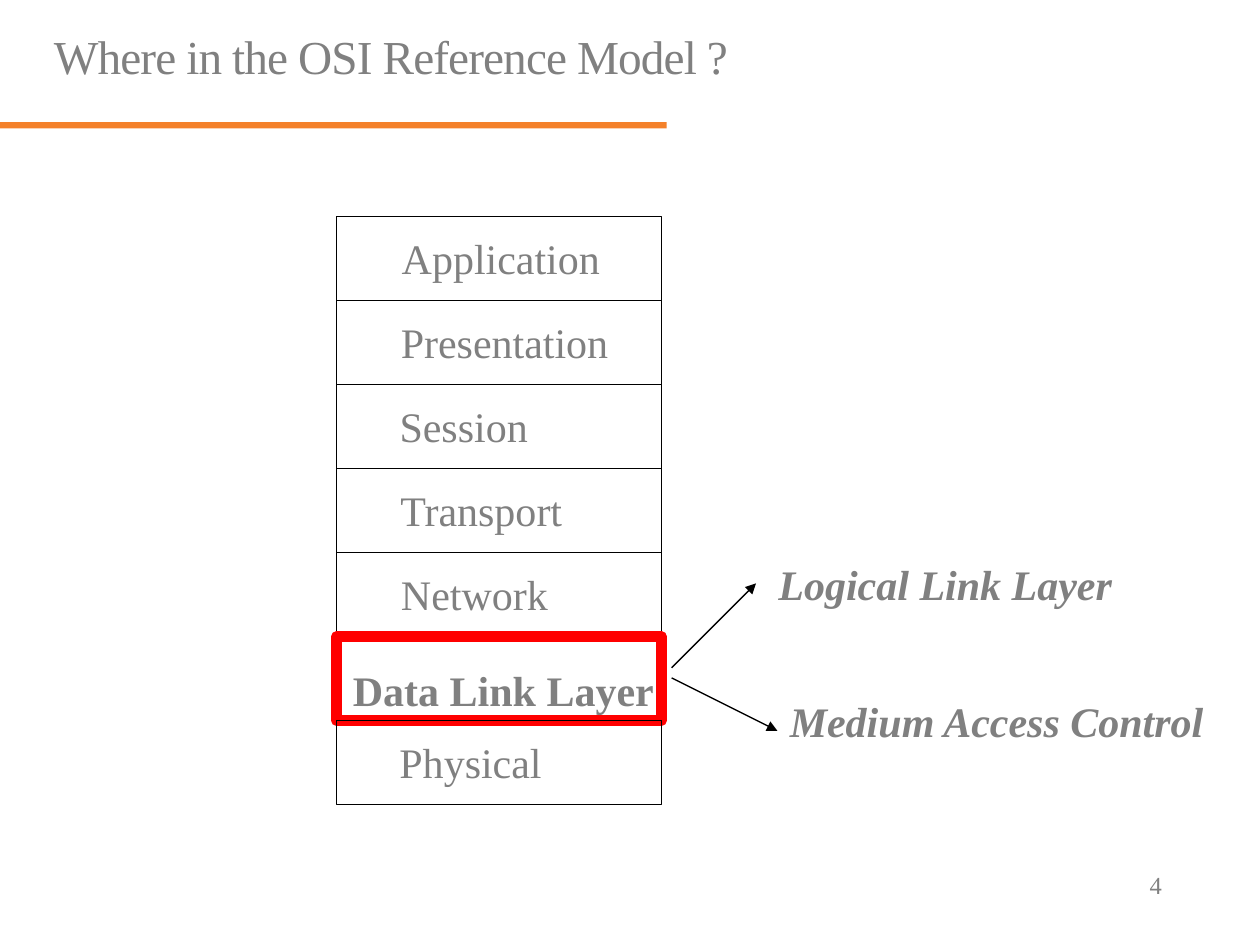
from lxml import etree
from pptx import Presentation
from pptx.dml.color import RGBColor
from pptx.enum.shapes import MSO_CONNECTOR as Connector, MSO_SHAPE as Shape
from pptx.enum.text import MSO_ANCHOR as Anchor, MSO_AUTO_SIZE as AutoSize, PP_ALIGN as Align
from pptx.oxml.ns import qn
from pptx.util import Inches, Pt

COLORS = {"text": "808080", "accent": "F4812A", "line": "000000", "highlight": "FF0000"}
FONT = "Times New Roman"

TITLE = "Where in the OSI Reference Model ?"
PAGE_NUMBER = "4"
# name, label width
LAYERS = [
    ("Application", 1.81),
    ("Presentation", 1.87),
    ("Session", 1.22),
    ("Transport", 1.5),
    ("Network", 1.39),
    ("Data Link Layer", 2.61),
    ("Physical", 1.33),
]
HIGHLIGHTED = "Data Link Layer"
# name, label box, arrow start, arrow end
SUBLAYERS = [
    ("Logical Link Layer", (6.08, 4.38, 2.9, 0.51), (5.33, 5.3), (6, 4.63)),
    ("Medium Access Control", (6.17, 5.47, 3.56, 0.5), (5.33, 5.38), (6.17, 5.8)),
]
STACK_LEFT, STACK_TOP = 2.67, 1.72
LAYER_WIDTH, LAYER_HEIGHT = 2.58, 2 / 3


def color(name):
    return RGBColor.from_string(COLORS[name])


def inches(values):
    return [Inches(value) for value in values]


def add_text(page, text, place, size=24, align=Align.LEFT, wrap=False, **styles):
    box = page.shapes.add_textbox(*inches(place))
    frame = box.text_frame
    frame.word_wrap = wrap
    frame.auto_size = AutoSize.NONE if wrap else AutoSize.SHAPE_TO_FIT_TEXT
    frame.vertical_anchor = Anchor.TOP
    para = frame.paragraphs[0]
    para.alignment = align
    span = para.add_run()
    span.text = text
    for key, value in {"name": FONT, "size": Pt(size), **styles}.items():
        setattr(span.font, key, value)
    span.font.color.rgb = color("text")
    return para


def add_rectangle(page, place, fill=None, line=None, weight=0.75):
    shape = page.shapes.add_shape(Shape.RECTANGLE, *inches(place))
    shape.shadow.inherit = False
    if fill:
        shape.fill.solid()
        shape.fill.fore_color.rgb = color(fill)
    else:
        shape.fill.background()
    if line:
        shape.line.color.rgb = color(line)
        shape.line.width = Pt(weight)
    else:
        shape.line.fill.background()


def add_arrow(page, start, end):
    arrow = page.shapes.add_connector(Connector.STRAIGHT, *inches(start + end))
    arrow.line.color.rgb = color("line")
    arrow.line.width = Pt(0.75)
    etree.SubElement(arrow.line._get_or_add_ln(), qn("a:tailEnd"), type="triangle")
    etree.SubElement(arrow._element.spPr, qn("a:effectLst"))


def add_layers(page):
    for row, (name, label_width) in enumerate(LAYERS):
        top = STACK_TOP + row * LAYER_HEIGHT
        chosen = name == HIGHLIGHTED
        add_rectangle(
            page,
            (STACK_LEFT, top, LAYER_WIDTH, LAYER_HEIGHT),
            line="highlight" if chosen else "line",
            weight=6 if chosen else 0.75,
        )
        indent, drop = (0.02, 0.17) if chosen else (0.4, 0.08)
        place = (STACK_LEFT + indent, top + drop, label_width, 0.5)
        add_text(page, name, place, align=Align.CENTER, bold=chosen)


def main():
    deck = Presentation()
    deck.slide_width, deck.slide_height = Inches(10), Inches(7.5)
    page = deck.slides.add_slide(deck.slide_layouts[6])

    add_rectangle(page, (0, 0.97, 5.29, 0.05), fill="accent")
    add_text(page, PAGE_NUMBER, (7.24, 6.86, 2.08, 0.5), size=14, align=Align.RIGHT, wrap=True)
    title = add_text(page, TITLE, (0.33, 0.22, 9.67, 1.25), size=27, wrap=True)
    title.line_spacing = 0.9
    title.runs[0].font._element.set("spc", "-50")

    add_layers(page)
    for name, place, start, end in SUBLAYERS:
        add_arrow(page, start, end)
        add_text(page, name, place, bold=True, italic=True)

    deck.save("out.pptx")


if __name__ == "__main__":
    main()
